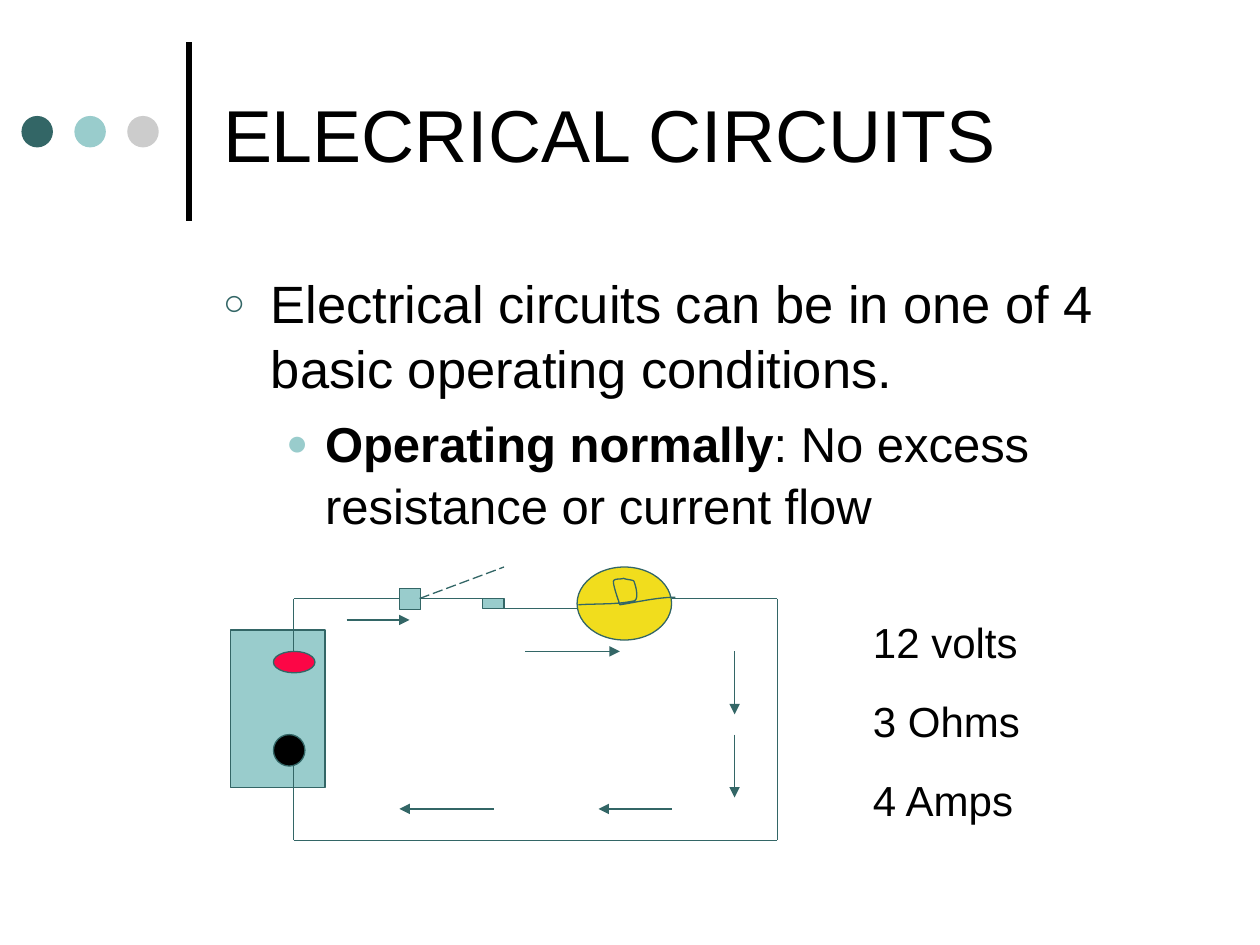
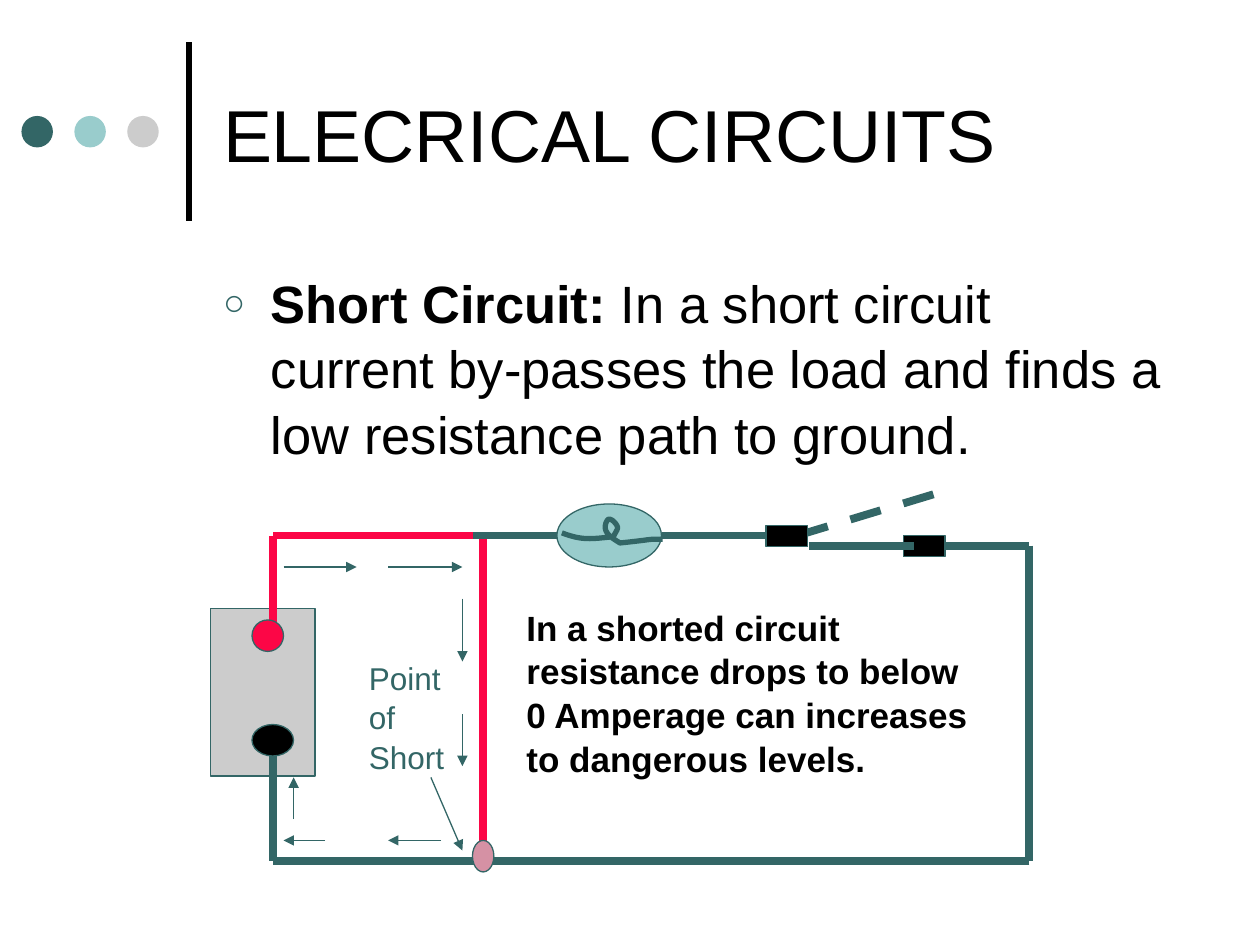
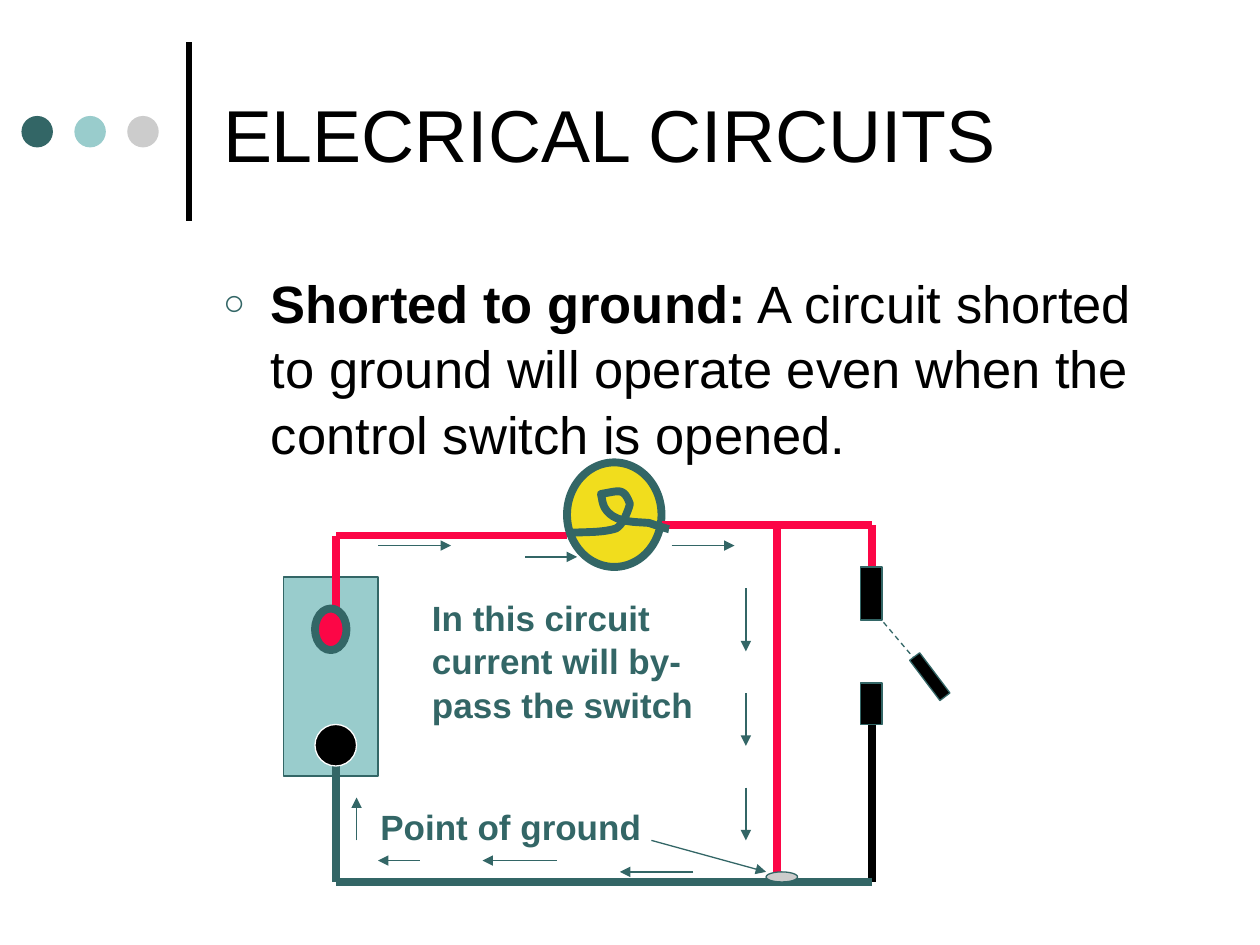
from itertools import pairwise

from lxml.etree import SubElement
from pptx import Presentation
from pptx.dml.color import RGBColor
from pptx.enum.dml import MSO_LINE as DASH
from pptx.enum.shapes import MSO_CONNECTOR as CONN, MSO_SHAPE as SHAPE
from pptx.enum.text import MSO_ANCHOR as ANCHOR, MSO_AUTO_SIZE as FIT, PP_ALIGN as ALIGN
from pptx.oxml.ns import qn
from pptx.util import Inches, Pt

TEAL, AQUA, GRAY = "336666", "99CCCC", "CCCCCC"
RED, YELLOW, PINK = "FC0646", "F1DD1D", "D591A4"
BLACK, WHITE = "000000", "FFFFFF"
FONT = "Arial"
TITLE = "ELECRICAL CIRCUITS"
THICK = 4.5
BULLETS = [
    dict(size=30, before=7.5, left=0.38, hang=0.38, char="○", color=TEAL, pct=70),
    dict(size=28, before=7, left=0.81, hang=0.31, char="●", color=AQUA, pct=75),
]


def rgb(color):
    return RGBColor.from_string(color)


def place(shape, left, top, width, height):
    shape.left, shape.top = Inches(left), Inches(top)
    shape.width, shape.height = Inches(width), Inches(height)


def set_line(shape, color, weight):
    shape.line.color.rgb = rgb(color)
    shape.line.width = Pt(weight)


def add_run(p, text, size=20, color=BLACK, bold=False):
    r = p.add_run()
    r.text = text
    r.font.name, r.font.size, r.font.bold = FONT, Pt(size), bold
    r.font.color.rgb = rgb(color)


def space(p, before=0):
    p.line_spacing = 1.04
    p.space_before = Pt(before)
    p.alignment = ALIGN.LEFT


def add_shape(s, kind, left, top, width, height, fill, line=TEAL, weight=0.75, rotation=0):
    shape = s.shapes.add_shape(kind, *map(Inches, (left, top, width, height)))
    shape.shadow.inherit = False
    shape.fill.solid()
    shape.fill.fore_color.rgb = rgb(fill)
    shape.rotation = rotation
    if line:
        set_line(shape, line, weight)
    else:
        shape.line.fill.background()


def add_box(s, *args, **fmt):
    add_shape(s, SHAPE.RECTANGLE, *args, **fmt)


def add_oval(s, *args, **fmt):
    add_shape(s, SHAPE.OVAL, *args, **fmt)


def add_wire(s, *points, color=TEAL, weight=0.75, dash=None, arrow=False):
    for start, end in pairwise(points):
        wire = s.shapes.add_connector(CONN.STRAIGHT, *map(Inches, start + end))
        set_line(wire, color, weight)
        if dash:
            wire.line.dash_style = dash
        if arrow:
            SubElement(wire.line._get_or_add_ln(), qn("a:tailEnd"), type="triangle")
        SubElement(wire._element.spPr, qn("a:effectLst"))


def add_arrows(s, *arrows):
    for x1, y1, x2, y2 in arrows:
        add_wire(s, (x1, y1), (x2, y2), arrow=True)


def bezier(knots, t):
    weights = ((1 - t) ** 3, 3 * t * (1 - t) ** 2, 3 * t**2 * (1 - t), t**3)
    return tuple(Inches(sum(w * k[axis] for w, k in zip(weights, knots))) for axis in (0, 1))


def add_filament(s, knots, weight, steps=12):
    points = [
        bezier(knots[i:i + 4], step / steps)
        for i in range(0, len(knots) - 1, 3)
        for step in range(1, steps + 1)
    ]
    builder = s.shapes.build_freeform(*map(Inches, knots[0]))
    builder.add_line_segments(points, close=False)
    shape = builder.convert_to_shape()
    shape.shadow.inherit = False
    shape.fill.background()
    set_line(shape, TEAL, weight)


def add_text(s, left, top, width, height, *lines, before=12.5, **fmt):
    tf = s.shapes.add_textbox(*map(Inches, (left, top, width, height))).text_frame
    tf.word_wrap = True
    tf.auto_size = FIT.SHAPE_TO_FIT_TEXT
    for i, line in enumerate(lines):
        p = tf.add_paragraph() if i else tf.paragraphs[0]
        space(p, before)
        add_run(p, line, **fmt)


def add_bullet(p, level, runs):
    style = BULLETS[level]
    p.level = level
    space(p, style["before"])
    pPr = p._p.get_or_add_pPr()
    pPr.set("marL", str(Inches(style["left"])))
    pPr.set("indent", str(-Inches(style["hang"])))
    SubElement(SubElement(pPr, qn("a:buClr")), qn("a:srgbClr"), val=style["color"])
    SubElement(pPr, qn("a:buSzPct"), val=str(style["pct"] * 1000))
    SubElement(pPr, qn("a:buFont"), typeface=FONT)
    SubElement(pPr, qn("a:buChar"), char=style["char"])
    for text, bold in runs:
        add_run(p, text, size=style["size"], bold=bold)


def add_slide(prs, *bullets):
    s = prs.slides.add_slide(prs.slide_layouts[1])
    add_wire(s, (1.5, 1.75), (1.5, 0.33), color=BLACK, weight=3)
    for i, color in enumerate((TEAL, AQUA, GRAY)):
        add_oval(s, 0.17 + 0.42 * i, 0.92, 0.25, 0.25, color, line=None)

    title, body = s.shapes.title, s.placeholders[1]
    place(title, 1.67, 0.21, 7.67, 1.67)
    place(body, 1.67, 2.08, 7.67, 4.5)
    for holder in (title, body):
        holder.text_frame.auto_size = FIT.NONE
    title.text_frame.vertical_anchor = ANCHOR.MIDDLE
    p = title.text_frame.paragraphs[0]
    space(p)
    add_run(p, TITLE, size=42)

    tf = body.text_frame
    for level, runs in enumerate(bullets):
        add_bullet(tf.add_paragraph() if level else tf.paragraphs[0], level, runs)
    return s


def normal_circuit(prs):
    s = add_slide(
        prs,
        [("Electrical circuits can be in one of 4 basic operating conditions.", False)],
        [("Operating normally", True), (": No excess resistance or current flow", False)],
    )
    add_box(s, 1.83, 5, 0.75, 1.25, AQUA)
    add_wire(s, (2.33, 5.25), (2.33, 4.75), (4, 4.75))
    add_oval(s, 4.58, 4.5, 0.75, 0.58, YELLOW)
    add_oval(s, 2.17, 5.17, 0.33, 0.17, RED)
    add_oval(s, 2.17, 5.83, 0.25, 0.25, BLACK)
    add_wire(s, (5.33, 4.75), (6.17, 4.75), (6.17, 6.67), (2.33, 6.67), (2.33, 6.08))
    add_wire(s, (4.58, 4.83), (3.83, 4.83))
    add_box(s, 3.83, 4.75, 0.17, 0.08, AQUA)
    add_box(s, 3.17, 4.67, 0.17, 0.17, AQUA)
    add_wire(s, (3.33, 4.75), (4, 4.5), dash=DASH.LONG_DASH)
    add_filament(s, [
        (4.59, 4.8), (4.74, 4.79), (4.88, 4.8), (5.03, 4.77),
        (5.08, 4.76), (5.04, 4.63), (5.03, 4.61),
        (5.01, 4.6), (4.97, 4.6), (4.95, 4.59),
        (4.92, 4.6), (4.88, 4.59), (4.87, 4.61),
        (4.86, 4.63), (4.91, 4.77), (4.92, 4.8),
        (5.05, 4.78), (5.22, 4.74), (5.36, 4.74),
    ], 0.75)
    add_text(s, 6.83, 4.83, 1.75, 1.72, "12 volts", "3 Ohms", "4 Amps", before=15, size=24)
    add_arrows(
        s,
        (2.75, 4.92, 3.25, 4.92), (4.17, 5.17, 4.92, 5.17),
        (5.83, 5.17, 5.83, 5.67), (5.83, 5.83, 5.83, 6.33),
        (5.33, 6.42, 4.75, 6.42), (3.92, 6.42, 3.17, 6.42),
    )


def short_circuit(prs):
    s = add_slide(prs, [
        ("Short Circuit:", True),
        (" In a short circuit current by-passes the load and finds a low resistance path to ground.", False),
    ])
    add_box(s, 1.67, 4.83, 0.83, 1.33, GRAY)
    add_oval(s, 4.42, 4, 0.83, 0.5, AQUA)
    add_wire(s, (2.17, 5), (2.17, 4.25), (3.83, 4.25), color=RED, weight=THICK)
    add_wire(s, (5.25, 4.25), (6.33, 4.25), weight=THICK)
    add_wire(s, (6.33, 4.25), (7.42, 3.92), weight=THICK, dash=DASH.DASH)
    add_wire(s, (7.17, 4.33), (8.17, 4.33), (8.17, 6.83), (2.17, 6.83), (2.17, 5.92), weight=THICK)
    add_box(s, 6.08, 4.17, 0.33, 0.17, BLACK)
    add_box(s, 7.17, 4.25, 0.33, 0.17, BLACK)
    add_wire(s, (6.42, 4.33), (7.25, 4.33), weight=THICK)
    add_filament(s, [
        (4.46, 4.23), (4.62, 4.29), (4.68, 4.28), (4.87, 4.26),
        (4.88, 4.23), (4.91, 4.2), (4.9, 4.18),
        (4.89, 4.15), (4.84, 4.1), (4.82, 4.13),
        (4.76, 4.23), (4.88, 4.28), (4.92, 4.31),
        (5.22, 4.28), (5.11, 4.28), (5.26, 4.28),
    ], 3)
    add_wire(s, (3.83, 4.25), (3.83, 6.83), color=RED, weight=THICK)
    add_text(
        s, 4.08, 4.75, 3.83, 1.44,
        "In a shorted circuit resistance drops to below 0 Amperage can increases to dangerous levels.",
        bold=True,
    )
    add_oval(s, 2, 4.92, 0.25, 0.25, RED)
    add_oval(s, 2, 5.75, 0.33, 0.25, BLACK)
    add_wire(s, (4.42, 4.25), (3.75, 4.25), weight=THICK)
    add_text(s, 2.83, 5.17, 0.83, 1, "Point of Short", before=11.2, size=18, color=TEAL)
    add_oval(s, 3.75, 6.67, 0.17, 0.25, PINK)
    add_arrows(
        s,
        (3.42, 6.17, 3.67, 6.75),
        (2.25, 4.5, 2.83, 4.5), (3.08, 4.5, 3.67, 4.5),
        (3.67, 4.75, 3.67, 5.25), (3.67, 5.67, 3.67, 6.08),
        (3.5, 6.67, 3.08, 6.67), (2.58, 6.67, 2.25, 6.67),
        (2.33, 6.5, 2.33, 6.17),
    )


def shorted_to_ground(prs):
    s = add_slide(prs, [
        ("Shorted to ground:", True),
        (" A circuit shorted to ground will operate even when the control switch is opened.", False),
    ])
    add_box(s, 2.25, 4.58, 0.75, 1.58, AQUA)
    add_wire(s, (2.67, 5), (2.67, 4.25), (4.5, 4.25), color=RED, weight=THICK)
    add_oval(s, 4.5, 3.67, 0.75, 0.83, YELLOW, weight=THICK)
    add_wire(s, (5.25, 4.17), (6.92, 4.17), (6.92, 4.83), color=RED, weight=THICK)
    add_wire(s, (6.92, 4.83), (7.42, 5.42), dash=DASH.DASH)
    add_wire(s, (6.92, 5.42), (6.92, 7), color=BLACK, weight=THICK)
    add_wire(s, (2.67, 5.92), (2.67, 7), (6.92, 7), weight=THICK)
    add_box(s, 6.83, 4.5, 0.17, 0.42, BLACK)
    add_box(s, 6.83, 5.42, 0.17, 0.33, BLACK)
    add_box(s, 7.33, 5.17, 0.1, 0.4, BLACK, rotation=323)
    add_filament(s, [
        (4.51, 4.23), (4.63, 4.22), (4.75, 4.23), (4.87, 4.2),
        (4.95, 4.19), (5, 4), (5, 4),
        (4.95, 3.86), (4.91, 3.9), (4.77, 3.92),
        (4.78, 3.96), (4.78, 3.99), (4.8, 4.03),
        (4.87, 4.15), (5.03, 4.14), (5.15, 4.15),
        (5.21, 4.17), (5.31, 4.2), (5.31, 4.2),
    ], THICK)
    add_oval(s, 2.5, 4.83, 0.25, 0.33, RED, weight=THICK)
    add_oval(s, 2.5, 5.75, 0.33, 0.33, BLACK, line=WHITE)
    add_wire(s, (6.17, 4.17), (6.17, 7), color=RED, weight=THICK)
    add_oval(s, 6.08, 6.92, 0.25, 0.08, GRAY)
    add_text(
        s, 3.33, 4.67, 2.75, 1.1,
        "In this circuit current will by-pass the switch", color=TEAL, bold=True,
    )
    add_text(s, 2.92, 6.33, 3.08, 0.44, "Point of ground", color=TEAL, bold=True)
    add_arrows(
        s,
        (5.17, 6.67, 6.08, 6.92),
        (3, 4.33, 3.58, 4.33), (4.17, 4.42, 4.58, 4.42), (5.33, 4.33, 5.83, 4.33),
        (5.92, 4.67, 5.92, 5.17), (5.92, 5.5, 5.92, 5.92), (5.92, 6.25, 5.92, 6.67),
        (5.5, 6.92, 4.92, 6.92), (4.42, 6.83, 3.83, 6.83), (3.33, 6.83, 3, 6.83),
        (2.83, 6.67, 2.83, 6.33),
    )


def main():
    prs = Presentation()
    prs.slide_width, prs.slide_height = Inches(10), Inches(7.5)
    normal_circuit(prs)
    short_circuit(prs)
    shorted_to_ground(prs)
    prs.save("out.pptx")


if __name__ == "__main__":
    main()
